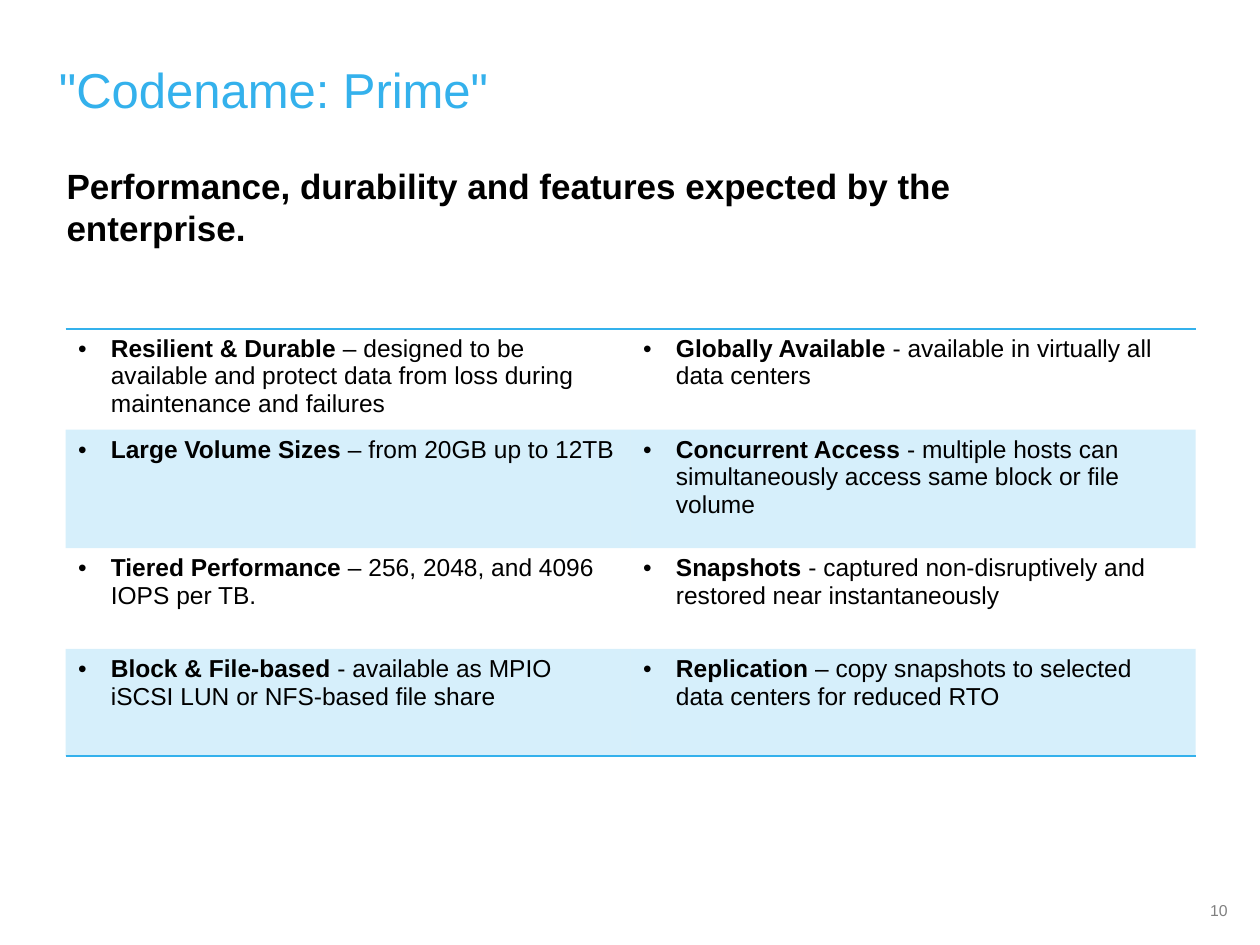
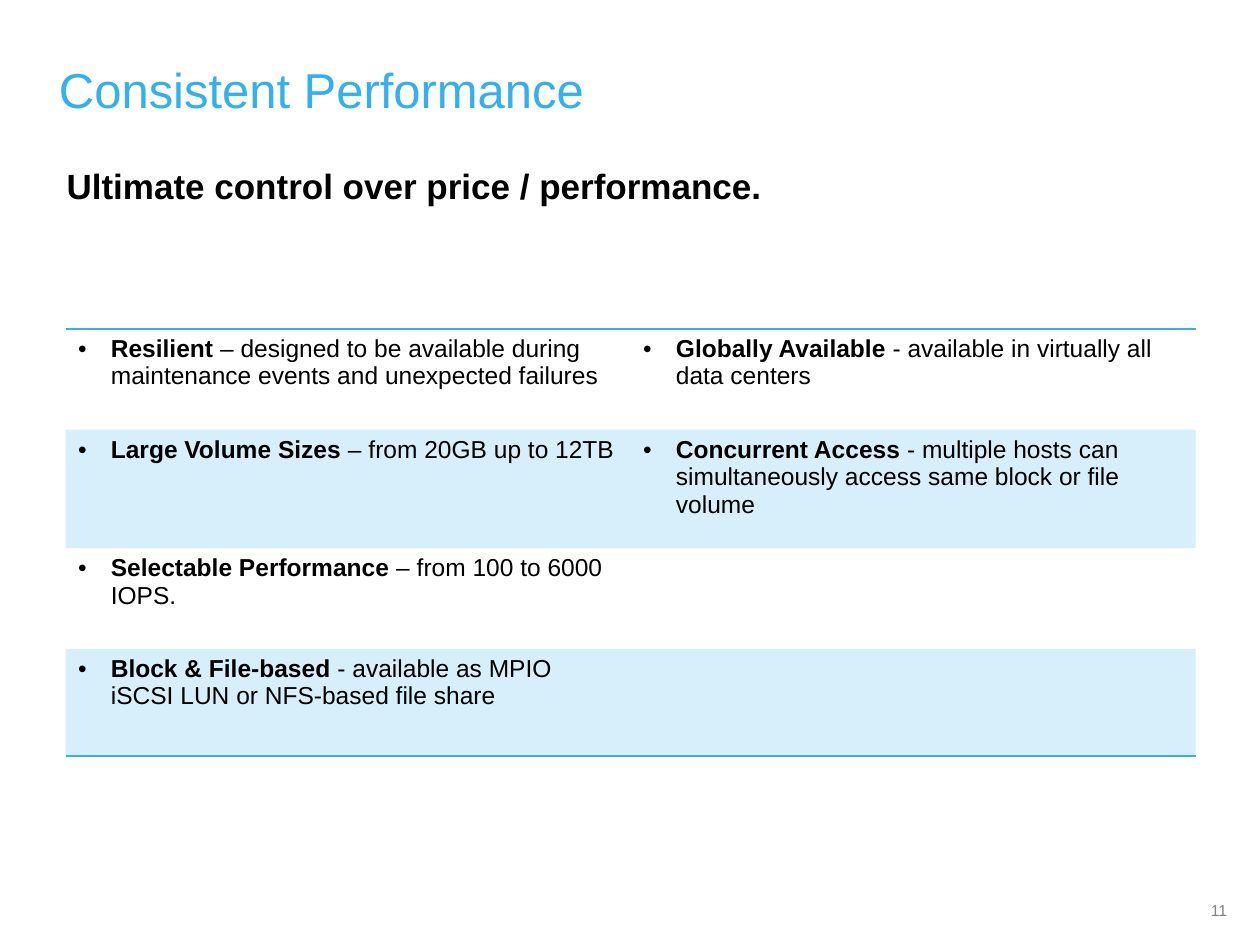
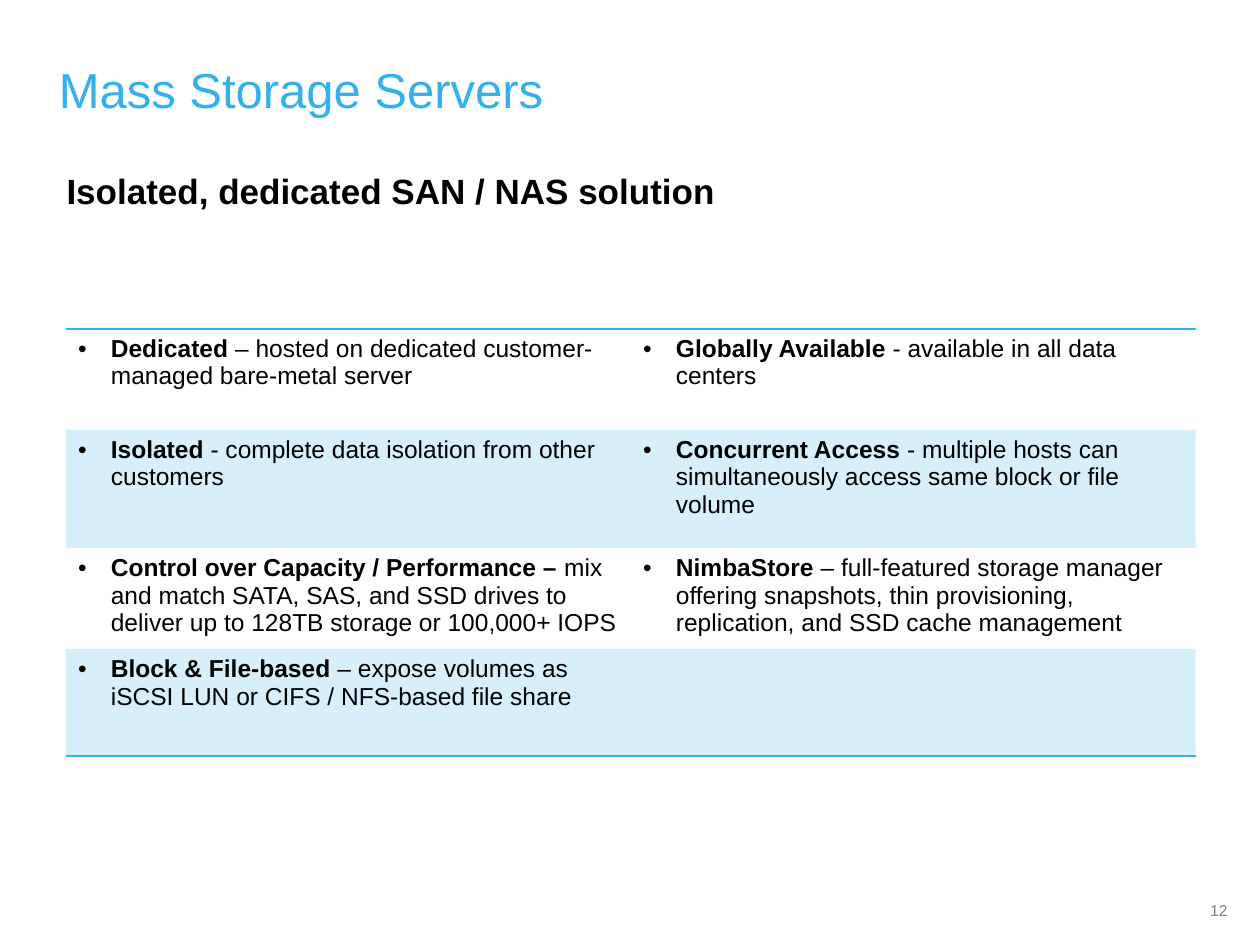
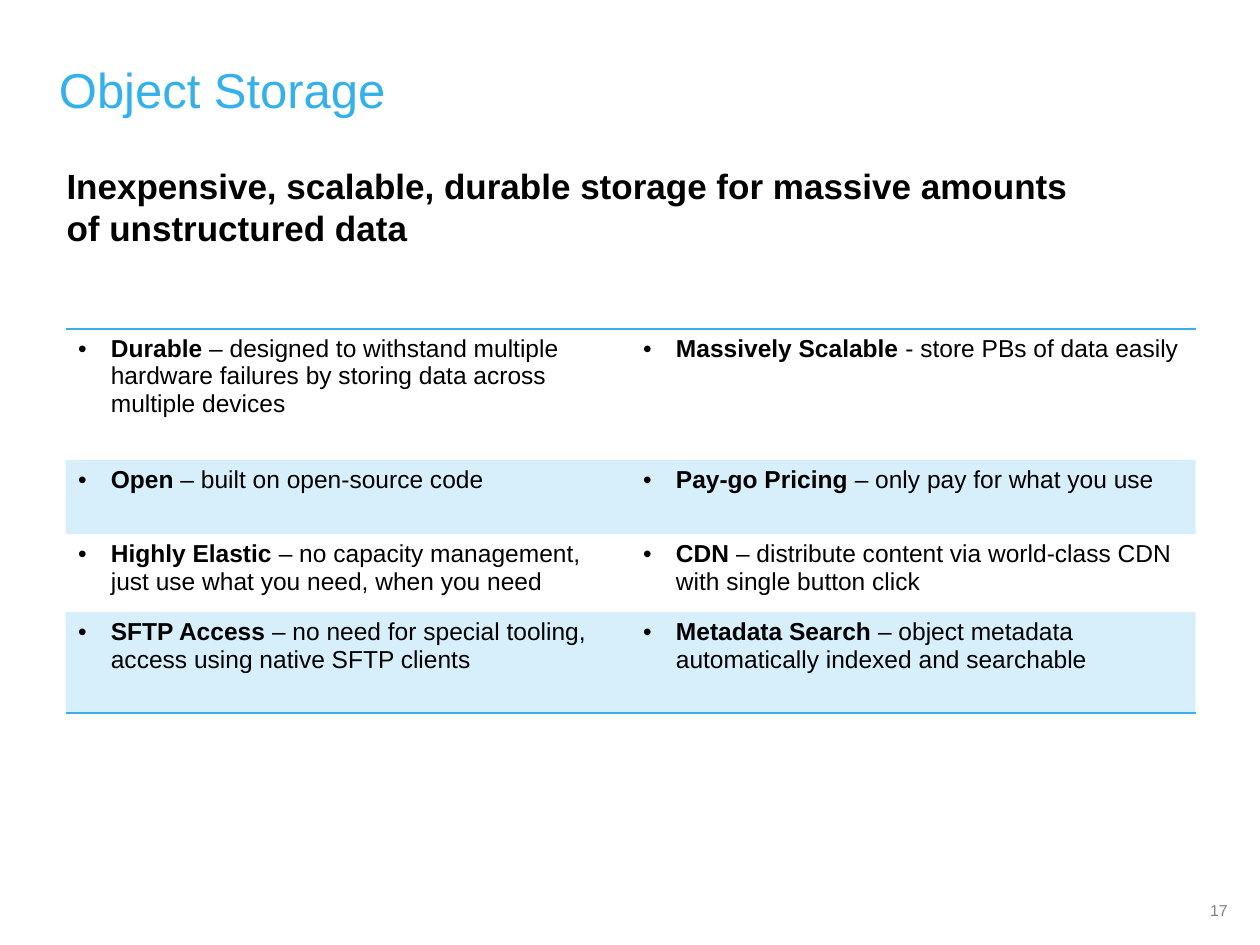
import dataclasses

import lxml.etree
import pptx
import pptx.dml.color
import pptx.enum.text
import pptx.oxml
import pptx.oxml.ns
import pptx.util

Inches = pptx.util.Inches
Pt = pptx.util.Pt
qn = pptx.oxml.ns.qn


@dataclasses.dataclass(frozen=True)
class Theme:
    font: str = "Arial"
    accent: str = "34B1EC"
    text: str = "000000"
    muted: str = "808080"
    title_size: int = 28
    lead_size: int = 20
    body_size: int = 14
    number_size: int = 9
    rule_width: int = 1
    band_opacity: int = 20
    plain_table: str = "{2D5ABB26-0587-4C30-8999-92F81FD0307C}"


THEME = Theme()
FEATURE_ROWS = [0.8, 0.94, 0.8, 0.85]
OBJECT_ROWS = [1.04, 0.59, 0.62, 0.8]

GLOBAL = ("Globally Available", " - available in virtually all data centers")
VOLUMES = ("Large Volume Sizes", " – from 20GB up to 12TB")
CONCURRENT = ("Concurrent Access",
              " - multiple hosts can simultaneously access same block or file volume")
BLOCK_FILE = ("Block & File-based",
              " - available as MPIO iSCSI LUN or NFS-based file share")


def add_run(p, text, size, color, bold=False):
    r = p.add_run()
    r.text = text
    r.font.name = THEME.font
    r.font.size = Pt(size)
    r.font.bold = bold
    r.font.color.rgb = pptx.dml.color.RGBColor.from_string(color)


def add_text(s, box, text, size, color, bold=False):
    """Add a wrapping one-paragraph text box and return its text frame."""
    tf = s.shapes.add_textbox(*map(Inches, box)).text_frame
    tf.word_wrap = True
    add_run(tf.paragraphs[0], text, size, color, bold)
    return tf


def add_title(s, text):
    tf = add_text(s, (0.37, 0.39, 8.36, 0.68), text, THEME.title_size, THEME.accent)
    tf.vertical_anchor = pptx.enum.text.MSO_ANCHOR.MIDDLE
    tf.paragraphs[0].line_spacing = 0.95


def add_number(s, number):
    tf = add_text(s, (9.41, 7.1, 0.53, 0.34), str(number),
                  THEME.number_size, THEME.muted)
    tf.paragraphs[0].alignment = pptx.enum.text.PP_ALIGN.CENTER


def add_lead(s, text, height, line_spacing=None, space_after=0):
    tf = add_text(s, (0.43, 1.26, 8.33, height), text,
                  THEME.lead_size, THEME.text, bold=True)
    p = tf.paragraphs[0]
    p.line_spacing = line_spacing
    p.space_after = Pt(space_after)


def set_bullet(p, indent=0.26):
    pPr = p._p.get_or_add_pPr()
    pPr.set("marL", str(Inches(indent)))
    pPr.set("indent", str(-Inches(indent)))
    lxml.etree.SubElement(pPr, qn("a:buFont")).set("typeface", THEME.font)
    lxml.etree.SubElement(pPr, qn("a:buChar")).set("char", "•")


def fill_band(cell):
    """Fill a cell with the translucent accent colour."""
    cell.fill.solid()
    cell.fill.fore_color.rgb = pptx.dml.color.RGBColor.from_string(THEME.accent)
    color = cell._tc.tcPr.find(".//" + qn("a:srgbClr"))
    alpha = lxml.etree.SubElement(color, qn("a:alpha"))
    alpha.set("val", str(THEME.band_opacity * 1000))


def add_rule(cell, side):
    """Draw the accent rule on one side of a cell: lnT or lnB."""
    ln = lxml.etree.Element(qn("a:" + side), w=str(Pt(THEME.rule_width)))
    fill = lxml.etree.SubElement(ln, qn("a:solidFill"))
    lxml.etree.SubElement(fill, qn("a:srgbClr")).set("val", THEME.accent)
    cell._tc.get_or_add_tcPr().insert(0, ln)


def add_feature(cell, feature):
    name, detail = feature
    p = cell.text_frame.paragraphs[0]
    set_bullet(p)
    add_run(p, name, THEME.body_size, THEME.text, bold=True)
    add_run(p, detail, THEME.body_size, THEME.text)


def add_feature_table(s, features, heights):
    frame = s.shapes.add_table(len(features), 2, Inches(0.52), Inches(2.61),
                               Inches(8.97), Inches(sum(heights)))
    table = frame.table
    table.first_row = table.horz_banding = False
    table._tbl.tblPr.find(qn("a:tableStyleId")).text = THEME.plain_table
    last = len(features) - 1
    for i, (pair, height) in enumerate(zip(features, heights)):
        table.rows[i].height = Inches(height)
        for j, feature in enumerate(pair):
            cell = table.cell(i, j)
            if feature:
                add_feature(cell, feature)
            if i % 2:
                fill_band(cell)
            else:
                cell.fill.background()
            if i == 0:
                add_rule(cell, "lnT")
            if i == last:
                add_rule(cell, "lnB")


def add_feature_slide(prs, number, title, lead, features,
                      heights=FEATURE_ROWS, lead_height=0.44, **lead_format):
    s = prs.slides.add_slide(prs.slide_layouts[6])
    add_title(s, title)
    add_number(s, number)
    add_lead(s, lead, lead_height, **lead_format)
    add_feature_table(s, features, heights)


def main():
    prs = pptx.Presentation()
    prs.slide_width, prs.slide_height = Inches(10), Inches(7.5)

    add_feature_slide(
        prs, 10, '"Codename: Prime"',
        "Performance, durability and features expected by the enterprise.",
        [(("Resilient & Durable", " – designed to be available and protect data "
           "from loss during maintenance and failures"), GLOBAL),
         (VOLUMES, CONCURRENT),
         (("Tiered Performance", " – 256, 2048, and 4096 IOPS per TB."),
          ("Snapshots",
           " - captured non-disruptively and restored near instantaneously")),
         (BLOCK_FILE,
          ("Replication",
           " – copy snapshots to selected data centers for reduced RTO"))],
        lead_height=0.77)

    add_feature_slide(
        prs, 11, "Consistent Performance",
        "Ultimate control over price / performance.",
        [(("Resilient ", "– designed to be available during maintenance events "
           "and unexpected failures"), GLOBAL),
         (VOLUMES, CONCURRENT),
         (("Selectable Performance", " – from 100 to 6000 IOPS."), None),
         (BLOCK_FILE, None)])

    add_feature_slide(
        prs, 12, "Mass Storage Servers",
        "Isolated, dedicated SAN / NAS solution",
        [(("Dedicated ", "– hosted on dedicated customer-managed bare-metal server"),
          ("Globally Available", " - available in all data centers")),
         (("Isolated ", "- complete data isolation from other customers"),
          CONCURRENT),
         (("Control over Capacity / Performance – ", "mix and match SATA, SAS, and "
           "SSD drives to deliver up to 128TB storage or 100,000+ IOPS"),
          ("NimbaStore ", "– full-featured storage manager offering snapshots, "
           "thin provisioning, replication, and SSD cache management")),
         (("Block & File-based",
           " – expose volumes as iSCSI LUN or CIFS / NFS-based file share"), None)],
        line_spacing=1.1, space_after=6)

    add_feature_slide(
        prs, 17, "Object Storage",
        "Inexpensive, scalable, durable storage for massive amounts "
        "of unstructured data",
        [(("Durable", " – designed to withstand multiple hardware failures by "
           "storing data across multiple devices"),
          ("Massively Scalable", " - store PBs of data easily")),
         (("Open ", "– built on open-source code"),
          ("Pay-go Pricing ", "– only pay for what you use")),
         (("Highly Elastic",
           " – no capacity management, just use what you need, when you need"),
          ("CDN ",
           "– distribute content via world-class CDN with single button click")),
         (("SFTP Access ",
           "– no need for special tooling, access using native SFTP clients"),
          ("Metadata Search",
           " – object metadata automatically indexed and searchable"))],
        heights=OBJECT_ROWS, lead_height=0.77)

    prs.save("out.pptx")


if __name__ == "__main__":
    main()
